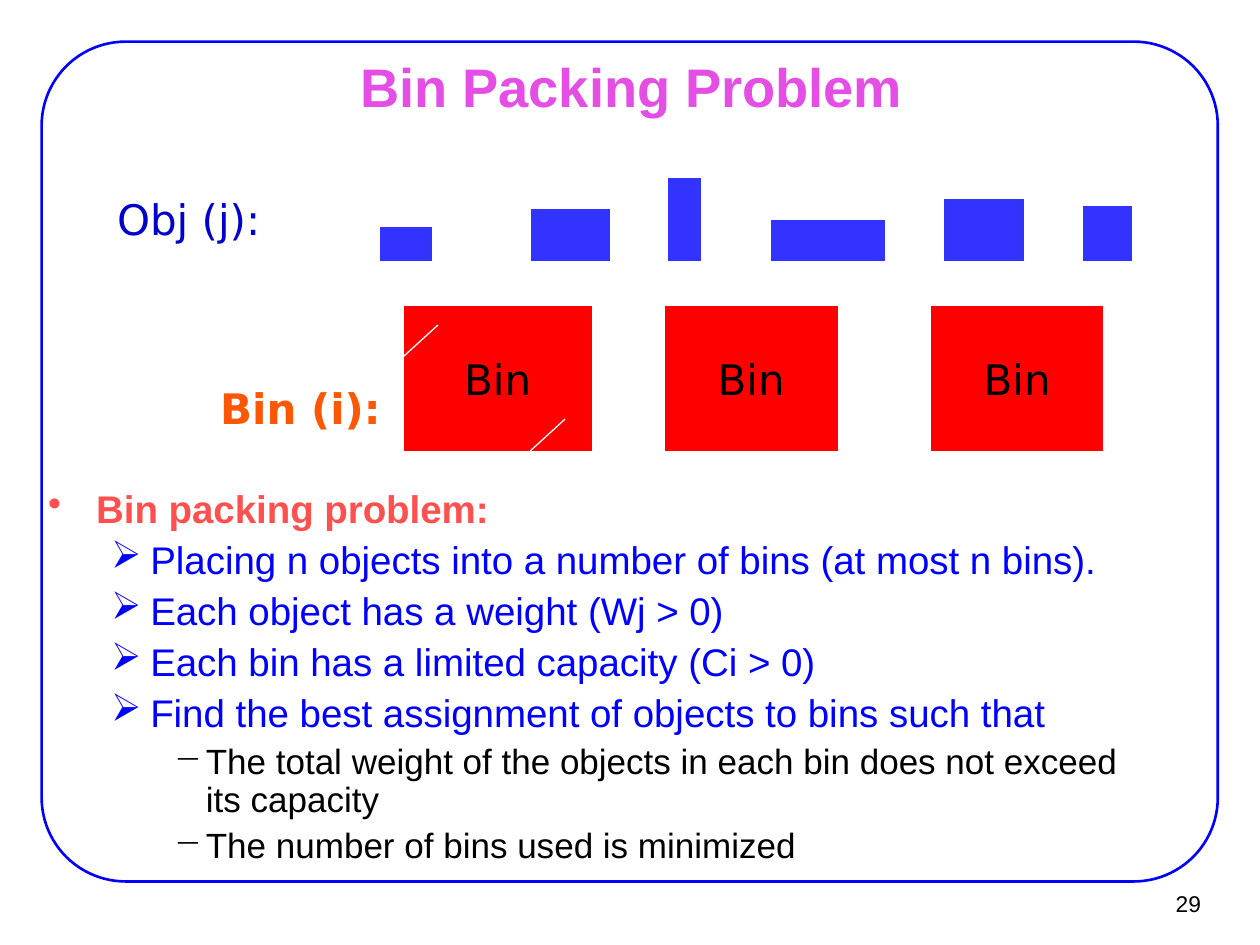
from dataclasses import dataclass

from lxml import etree
from pptx import Presentation
from pptx.dml.color import RGBColor
from pptx.enum.shapes import MSO_CONNECTOR, MSO_SHAPE
from pptx.enum.text import MSO_ANCHOR, PP_ALIGN
from pptx.oxml.ns import qn
from pptx.util import Cm, Pt

RECT, ROUND = MSO_SHAPE.RECTANGLE, MSO_SHAPE.ROUNDED_RECTANGLE
LINE = MSO_CONNECTOR.STRAIGHT
LEFT, MID, RIGHT = PP_ALIGN.LEFT, PP_ALIGN.CENTER, PP_ALIGN.RIGHT
TOP, CENTRE = MSO_ANCHOR.TOP, MSO_ANCHOR.MIDDLE


@dataclass(frozen=True)
class Theme:
    blue: str = "0000FF"
    pink: str = "E44EE4"
    coral: str = "FF5050"
    navy: str = "0000CC"
    orange: str = "FB5705"
    item: str = "3333FF"
    red: str = "FF0000"
    black: str = "000000"
    white: str = "FFFFFF"
    sans: str = "Arial"
    label: str = "DejaVu Sans"
    title: int = 31
    tag: int = 24
    body: int = 22
    sub: int = 20
    page: int = 13


T = Theme()


def write(frame, text, new=False, size=T.tag, color=T.black, font=T.label,
          bold=False, align=LEFT, anchor=TOP, wrap=True, pad=(0.25, 0.13)):
    """Put one formatted paragraph in a text frame and return it."""
    frame.word_wrap, frame.vertical_anchor = wrap, anchor
    frame.margin_left = frame.margin_right = Cm(pad[0])
    frame.margin_top = frame.margin_bottom = Cm(pad[1])
    para = frame.add_paragraph() if new else frame.paragraphs[0]
    para.alignment = align
    run = para.add_run()
    run.text = text
    run.font.size, run.font.name, run.font.bold = Pt(size), font, bold
    run.font.color.rgb = RGBColor.from_string(color)
    return para


def block(kind, x, y, w, h, fill, edge, width):
    shape = slide.shapes.add_shape(kind, Cm(x), Cm(y), Cm(w), Cm(h))
    shape.shadow.inherit = False
    if fill:
        shape.fill.solid()
        shape.fill.fore_color.rgb = RGBColor.from_string(fill)
    else:
        shape.fill.background()
    shape.line.color.rgb = RGBColor.from_string(edge)
    shape.line.width = Pt(width)
    return shape


deck = Presentation()
deck.slide_width, deck.slide_height = Cm(25.4), Cm(19.05)
slide = deck.slides.add_slide(deck.slide_layouts[6])

border = block(ROUND, 0.84, 0.84, 23.71, 16.93, None, T.blue, 1.5)
border.adjustments[0] = 0.1

# Title, page number and row labels
wide = (0.28, 0.15)
texts = [
    ("Bin Packing Problem", 1.93, 1.12, 21.59, 1.24,
     dict(size=T.title, color=T.pink, font=T.sans, bold=True, align=MID,
          anchor=CENTRE, pad=wide)),
    ("29", 22.91, 17.75, 1.55, 0.94,
     dict(size=T.page, font=T.sans, align=RIGHT, anchor=CENTRE, wrap=False)),
    ("Obj (j):", 2.11, 3.78, 4.62, 1.27, dict(color=T.navy)),
    ("Bin (i):", 4.19, 7.59, 4.62, 1.27, dict(color=T.orange, bold=True)),
]
for text, x, y, w, h, style in texts:
    box = slide.shapes.add_textbox(Cm(x), Cm(y), Cm(w), Cm(h))
    write(box.text_frame, text, **style)

# Objects stand on one base line
base = 5.27
for x, w, h in [(7.65, 1.07, 0.71), (10.69, 1.63, 1.07), (13.46, 0.69, 1.7),
                (15.54, 2.31, 0.84), (19.02, 1.63, 1.27), (21.82, 1.02, 1.12)]:
    block(RECT, x, base - h, w, h, T.item, T.white, 0.75)

for x, w in [(8.13, 3.81), (13.39, 3.51), (18.75, 3.51)]:
    bin_box = block(RECT, x, 6.15, w, 2.95, T.red, T.white, 0.75)
    write(bin_box.text_frame, "Bin", align=MID, anchor=CENTRE, wrap=False)

# Slashes on the first bin
for x, y in [(10.69, 9.09), (8.13, 7.19)]:
    slash = slide.shapes.add_connector(LINE, Cm(x), Cm(y),
                                       Cm(x + 0.7), Cm(y - 0.64))
    slash.line.color.rgb = RGBColor.from_string(T.white)
    slash.line.width = Pt(0.75)
    etree.SubElement(slash._element.spPr, qn("a:effectLst"))

# Bulleted body: mark, indent, hang, gap before, format
levels = [
    ("•", 0.97, 0.97, 0, dict(size=T.body, color=T.coral, bold=True)),
    ("➢", 2.06, 0.79, 5.4, dict(size=T.body, color=T.blue)),
    ("−", 3.18, 0.64, 4.7, dict(size=T.sub)),
]
points = [
    (0, "Bin packing problem:"),
    (1, "Placing n objects into a number of bins (at most n bins)."),
    (1, "Each object has a weight (Wj > 0)"),
    (1, "Each bin has a limited capacity (Ci > 0)"),
    (1, "Find the best assignment of objects to bins such that"),
    (2, "The total weight of the objects in each bin does not exceed "
        "its capacity"),
    (2, "The number of bins used is minimized"),
]
body = slide.shapes.add_textbox(Cm(0.69), Cm(9.73), Cm(22.61), Cm(8.74))
for row, (level, text) in enumerate(points):
    mark, indent, hang, gap, style = levels[level]
    para = write(body.text_frame, text, new=row > 0, font=T.sans, pad=wide,
                 **style)
    para.level, para.line_spacing, para.space_before = level, 0.9, Pt(gap)
    props = para._p.get_or_add_pPr()
    props.set("marL", str(Cm(indent)))
    props.set("indent", str(-Cm(hang)))
    etree.SubElement(props, qn("a:buChar"), char=mark)

deck.save("out.pptx")
